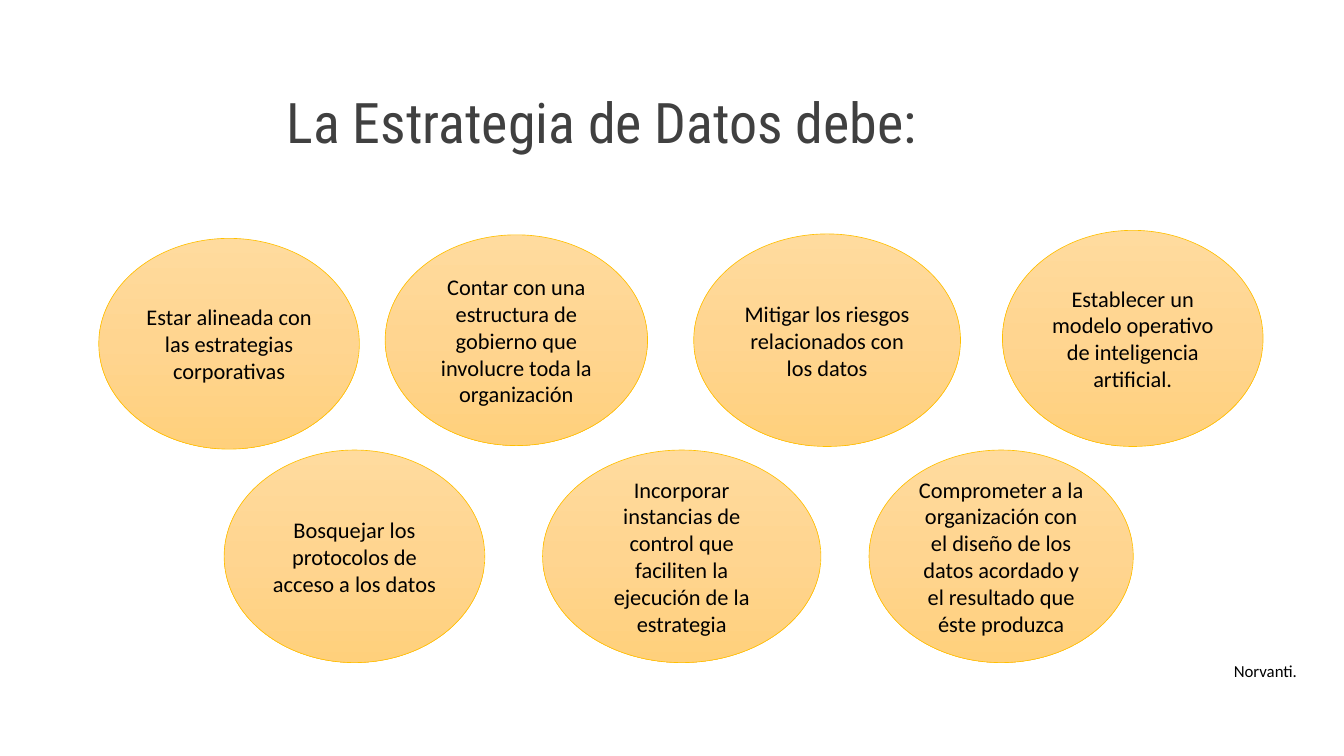
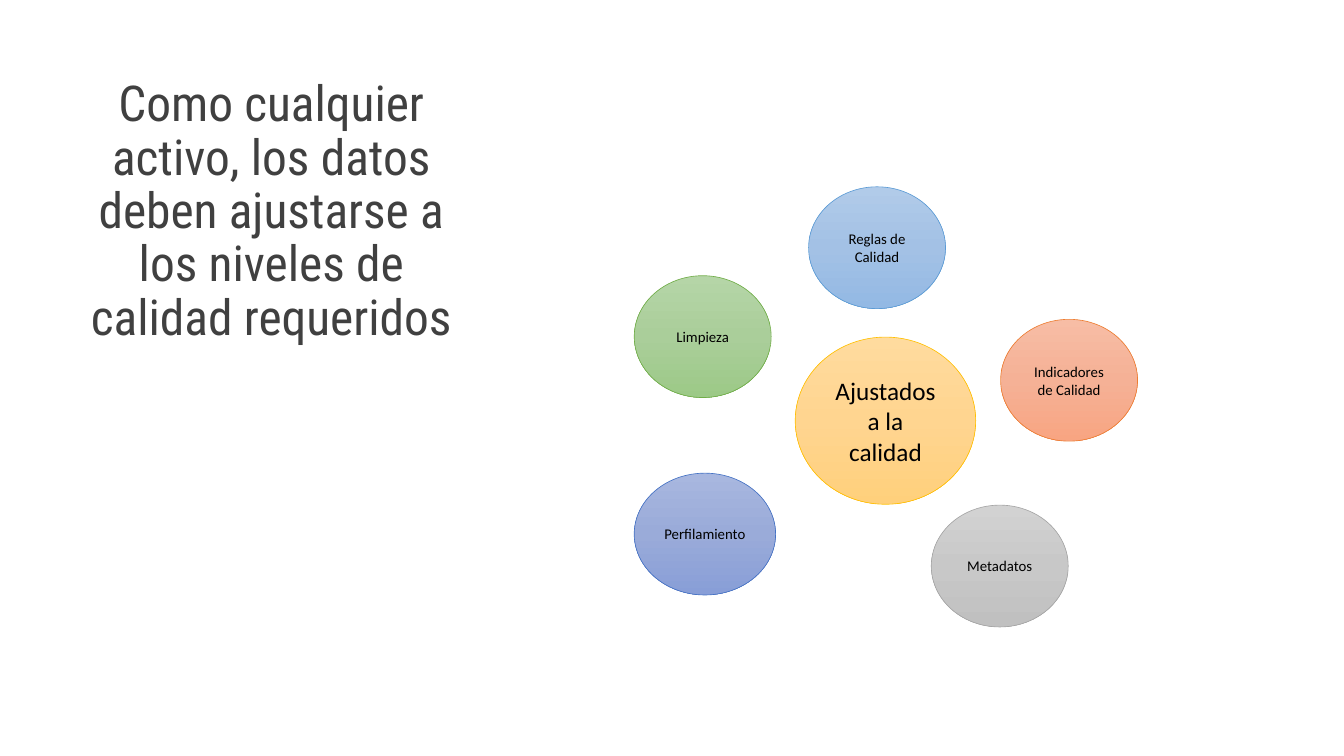
from dataclasses import dataclass

import copy
import pptx
import pptx.dml.color
import pptx.enum.shapes
import pptx.enum.text
import pptx.oxml.ns
import pptx.util

WIDTH, HEIGHT = 15.11, 8.5
BODY_FONT, TITLE_FONT = "Calibri", "Roboto Condensed"
BLACK, TITLE_GREY = "000000", "404040"
CENTER = pptx.enum.text.PP_ALIGN.CENTER
RIGHT = pptx.enum.text.PP_ALIGN.RIGHT
MIDDLE = pptx.enum.text.MSO_ANCHOR.MIDDLE
TOP = pptx.enum.text.MSO_ANCHOR.TOP


@dataclass(frozen=True)
class Box:
    """Place and size, in percent of the slide's width and height."""
    left: float
    top: float
    width: float
    height: float

    def emu(self) -> tuple:
        return (across(self.left), down(self.top),
                across(self.width), down(self.height))


@dataclass(frozen=True)
class Theme:
    line: str
    stops: tuple


@dataclass(frozen=True)
class Bubble:
    text: str
    box: Box
    theme: Theme
    size: float
    inset: tuple = (0.1, 0.05)


GOLD = Theme("FFC000", ("FFDB9E", "FFD590", "FFD07C"))
INDIGO = Theme("4472C4", ("A8B7DF", "9AABD9", "889ED7"))
GREY = Theme("A5A5A5", ("D2D2D2", "C8C8C8", "C0C0C0"))
GREEN = Theme("70AD47", ("B5D5A7", "AACE9A", "9CC987"))
BLUE = Theme("5B9BD5", ("B1CBE9", "A3C1E5", "93B9E4"))
ORANGE = Theme("ED7D31", ("F7BDA5", "F5B196", "F8A582"))


def across(share: float) -> int:
    return pptx.util.Inches(WIDTH * share / 100)


def down(share: float) -> int:
    return pptx.util.Inches(HEIGHT * share / 100)


def color(value: str) -> pptx.dml.color.RGBColor:
    return pptx.dml.color.RGBColor.from_string(value)


def write(tf, text: str, size: float, font: str = BODY_FONT,
          ink: str = BLACK, align=CENTER, anchor=MIDDLE):
    tf.word_wrap = True
    tf.vertical_anchor = anchor
    p = tf.paragraphs[0]
    p.alignment = align
    r = p.add_run()
    r.text = text
    r.font.size = pptx.util.Pt(size)
    r.font.name = font
    r.font.color.rgb = color(ink)
    return p


def add_title(s, text: str, box: Box, size: float) -> None:
    tf = s.shapes.add_textbox(*box.emu()).text_frame
    write(tf, text, size, TITLE_FONT, TITLE_GREY).line_spacing = 0.9


def add_bubble(s, bubble: Bubble) -> None:
    sp = s.shapes.add_shape(pptx.enum.shapes.MSO_SHAPE.OVAL, *bubble.box.emu())
    sp.shadow.inherit = False
    sp.line.color.rgb = color(bubble.theme.line)
    sp.line.width = pptx.util.Pt(0.5)

    # Three-stop gradient running downwards
    sp.fill.gradient()
    sp.fill.gradient_angle = 270
    stops = sp._element.spPr.find(".//" + pptx.oxml.ns.qn("a:gsLst"))
    stops.insert(1, copy.deepcopy(stops[0]))
    for i, (stop, value) in enumerate(zip(sp.fill.gradient_stops, bubble.theme.stops)):
        stop.position = i / 2
        stop.color.rgb = color(value)

    tf = sp.text_frame
    side, edge = (pptx.util.Inches(v) for v in bubble.inset)
    tf.margin_left = tf.margin_right = side
    tf.margin_top = tf.margin_bottom = edge
    write(tf, bubble.text, bubble.size)


def build_strategy(s) -> None:
    add_title(s, "La Estrategia de Datos debe:", Box(9.4, 6.94, 70.75, 19.29), 45.3)

    wide = (0.11, 0.06)
    normal = (0.1, 0.05)
    low_top, low_height = 59.53, 28.12
    duties = [
        ("Estar alineada con las estrategias corporativas",
         Box(7.35, 31.53, 19.39, 27.88), normal),
        ("Contar con una estructura de gobierno que involucre toda la organización",
         Box(28.66, 31.06, 19.52, 27.88), normal),
        ("Mitigar los riesgos relacionados con los datos",
         Box(51.62, 30.94, 19.85, 28.12), wide),
        ("Establecer un modelo operativo de inteligencia artificial.",
         Box(74.59, 30.47, 19.39, 28.59), wide),
        ("Bosquejar los protocolos de acceso a los datos",
         Box(16.68, low_top, 19.39, low_height), wide),
        ("Incorporar instancias de control que faciliten la ejecución de la estrategia",
         Box(40.37, low_top, 20.71, low_height), wide),
        ("Comprometer a la organización con el diseño de los datos acordado "
         "y el resultado que éste produzca",
         Box(64.66, low_top, 19.66, low_height), wide),
    ]
    for text, box, inset in duties:
        add_bubble(s, Bubble(text, box, GOLD, 18.1, inset))

    # Source credit
    credit = s.shapes.add_textbox(*Box(45.73, 86.82, 51.42, 3.88).emu())
    write(credit.text_frame, "Norvanti.", 13.6, align=RIGHT, anchor=TOP)


def build_quality(s) -> None:
    add_title(s, "Como cualquier activo, los datos deben ajustarse a los niveles "
                 "de calidad requeridos", Box(4.3, 8.47, 31.77, 39.29), 40)

    # Centre and its satellites
    add_bubble(s, Bubble("Ajustados a la calidad",
                         Box(59.17, 44.59, 13.43, 22.12), GOLD, 20.4))
    width, height = 10.19, 16.12
    satellites = [
        ("Perfilamiento", 47.19, 62.59, 10.52, INDIGO),
        ("Metadatos", 69.29, 66.82, width, GREY),
        ("Limpieza", 47.19, 36.47, width, GREEN),
        ("Reglas de Calidad", 60.16, 24.71, width, BLUE),
        ("Indicadores de Calidad", 74.45, 42.24, width, ORANGE),
    ]
    for text, left, top, breadth, theme in satellites:
        add_bubble(s, Bubble(text, Box(left, top, breadth, height), theme, 12))


def main() -> None:
    prs = pptx.Presentation()
    prs.slide_width = across(100)
    prs.slide_height = down(100)
    for build in (build_strategy, build_quality):
        build(prs.slides.add_slide(prs.slide_layouts[6]))
    prs.save("out.pptx")


if __name__ == "__main__":
    main()
